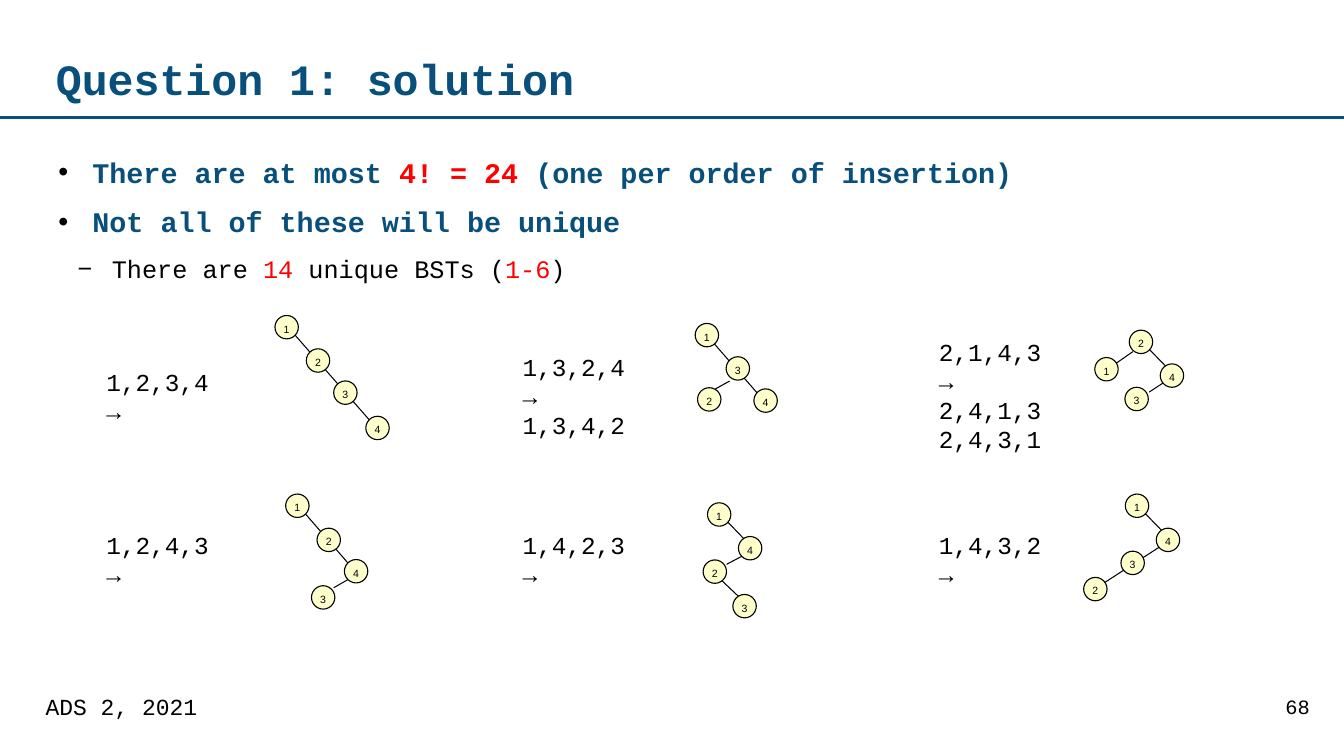
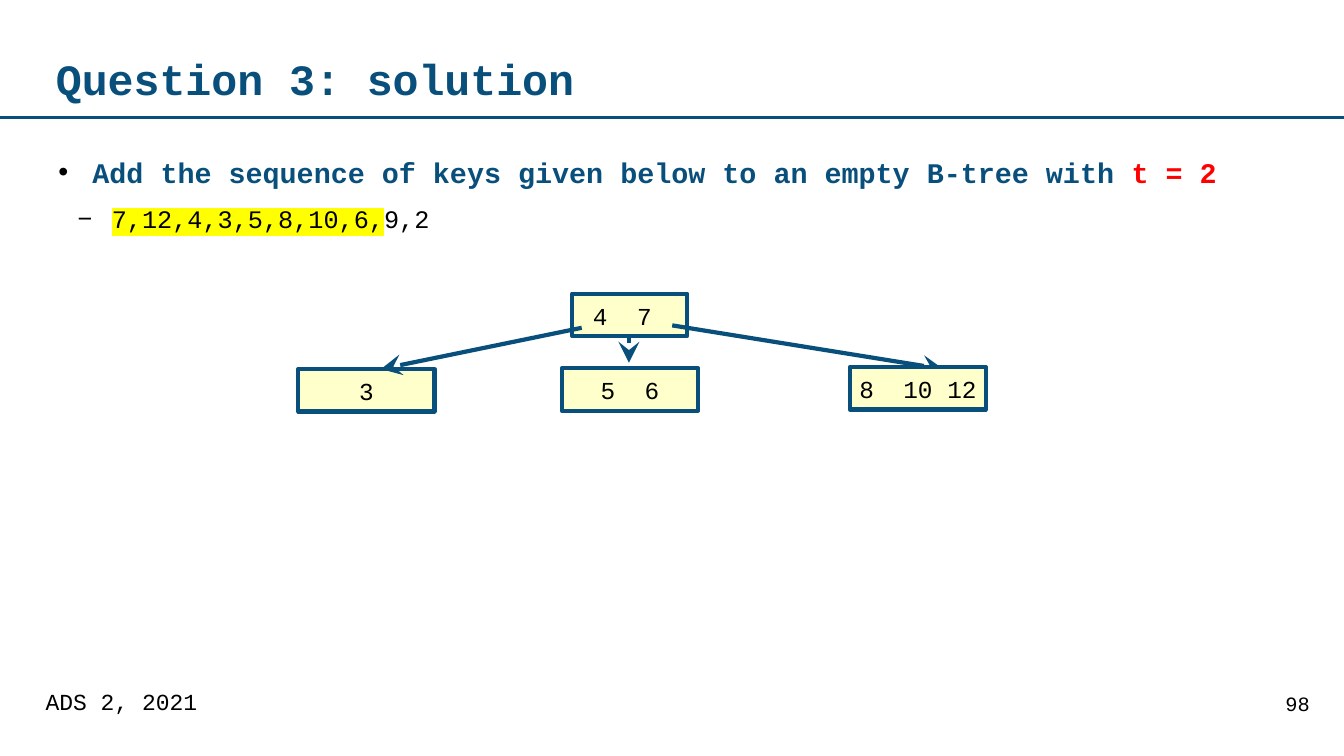
import lxml.etree
import pptx
import pptx.dml.color
import pptx.enum.shapes
import pptx.enum.text
import pptx.oxml.ns
import pptx.util

Cm = pptx.util.Cm
Pt = pptx.util.Pt
qn = pptx.oxml.ns.qn
paint = pptx.dml.color.RGBColor.from_string
align = pptx.enum.text.PP_ALIGN
anchor = pptx.enum.text.MSO_ANCHOR
preset = pptx.enum.shapes.MSO_SHAPE

BLUE, RED, BLACK = "094F7B", "FF0000", "000000"
CREAM, YELLOW = "FFFFCC", "FFFF00"
MONO = "Courier New"


def style(run, size, color, bold=False, family=MONO):
    run.font.size = Pt(size)
    run.font.name = family
    run.font.bold = bold
    run.font.color.rgb = paint(color)


def draw_line(shapes, start, end, color, width, head=None):
    straight = pptx.enum.shapes.MSO_CONNECTOR.STRAIGHT
    link = shapes.add_connector(straight, *[Cm(v) for v in (*start, *end)])
    link.line.color.rgb = paint(color)
    link.line.width = Pt(width)
    properties = link._element.spPr
    if head:
        lxml.etree.SubElement(
            properties.find(qn("a:ln")), qn("a:tailEnd"), type=head, w="lg", len="lg")
    lxml.etree.SubElement(properties, qn("a:effectLst"))


deck = pptx.Presentation()
deck.slide_width, deck.slide_height = Cm(33.87), Cm(19.05)

pages = [
    ("Question 1: solution", "68", 1, 1.05, [
        (0, [("There are at most ", BLUE), ("4! = 24 ", RED), ("(one per order of insertion)", BLUE)]),
        (0, [("Not all of these will be unique", BLUE)]),
        (1, [("There are ", BLACK), ("14", RED), (" unique BSTs (", BLACK), ("1-6", RED), (")", BLACK)]),
    ]),
    ("Question 3: solution", "98", 0.82, 0.96, [
        (0, [("Add the sequence of keys given below to an empty B-tree with ", BLUE), ("t = 2", RED)]),
        (1, [("7,12,4,3,5,8,10,6,", YELLOW), ("9,2", BLACK)]),
    ]),
]
levels = [(0.91, "•", 20.3, True), (1.4, "−", 18, False)]

for heading, number, footer_spacing, number_spacing, points in pages:
    slide = deck.slides.add_slide(deck.slide_layouts[5])
    draw_line(slide.shapes, (0, 2.96), (33.87, 2.96), BLUE, 2.75)

    title = slide.shapes.title
    title.left, title.top, title.width, title.height = Cm(1.41), Cm(0.85), Cm(28.91), Cm(2.18)
    frame = title.text_frame
    frame.text = heading
    frame.auto_size = pptx.enum.text.MSO_AUTO_SIZE.NONE
    frame.margin_left = frame.margin_right = frame.margin_top = frame.margin_bottom = 0
    frame.vertical_anchor = anchor.MIDDLE
    frame.paragraphs[0].alignment = align.LEFT
    frame.paragraphs[0].line_spacing = 1.04
    style(frame.paragraphs[0].runs[0], 30.9, BLUE, True)

    frame = slide.shapes.add_textbox(Cm(1.42), Cm(3.73), Cm(31.04), Cm(13.21)).text_frame
    frame.word_wrap = True
    frame.margin_left = frame.margin_right = frame.margin_top = frame.margin_bottom = 0
    for position, (level, phrases) in enumerate(points):
        point = frame.add_paragraph() if position else frame.paragraphs[0]
        indent, mark, size, bold = levels[level]
        point.level = level
        point.line_spacing = 1.2
        if position:
            point.space_before = Pt(6.2)
        properties = point._p.get_or_add_pPr()
        properties.set("marL", str(Cm(indent)))
        properties.set("indent", str(-Cm(0.86)))
        bullet_color = lxml.etree.SubElement(properties, qn("a:buClr"))
        lxml.etree.SubElement(bullet_color, qn("a:srgbClr"), val=BLACK)
        lxml.etree.SubElement(properties, qn("a:buFont"), typeface="Arial")
        lxml.etree.SubElement(properties, qn("a:buChar"), char=mark)
        for words, color in phrases:
            run = point.add_run()
            run.text = words
            style(run, size, BLACK if color == YELLOW else color, bold)
            if color == YELLOW:
                highlight = lxml.etree.Element(qn("a:highlight"))
                lxml.etree.SubElement(highlight, qn("a:srgbClr"), val=YELLOW)
                run._r.rPr.find(qn("a:latin")).addprevious(highlight)

    for words, left, width, size, side, spacing in [
        (number, 27.84, 5.46, 14.5, align.RIGHT, number_spacing),
        ("ADS 2, 2021", 0.86, 21.41, 16.4, align.LEFT, footer_spacing),
    ]:
        frame = slide.shapes.add_textbox(Cm(left), Cm(17.32), Cm(width), Cm(1.32)).text_frame
        frame.word_wrap = True
        frame.margin_left = frame.margin_right = Cm(0.29)
        frame.margin_top = frame.margin_bottom = Cm(0.14)
        frame.text = words
        frame.paragraphs[0].alignment = side
        frame.paragraphs[0].line_spacing = spacing
        style(frame.paragraphs[0].runs[0], size, BLACK)

search_slide, btree_slide = deck.slides

search_trees = [
    (0, 9.12, ["1,2,3,4 →"],
     [((7.09, 8.05), (9.63, 10.95))],
     {"1": (6.93, 7.95), "2": (7.72, 8.79), "3": (8.41, 9.6), "4": (9.22, 10.49)}),
    (0, 13.23, ["1,2,4,3 →"],
     [((7.37, 12.57), (9.04, 14.5)), ((8.76, 14.61), (8.41, 14.81))],
     {"1": (7.2, 12.45), "2": (7.99, 13.31), "4": (8.68, 14.1), "3": (7.85, 14.76)}),
    (1, 8.74, ["1,3,2,4 →", "1,3,4,2"],
     [((17.65, 8.26), (19.35, 10.21)), ((18.39, 9.6), (18.03, 9.8))],
     {"1": (17.52, 8.15), "3": (18.3, 8.99), "2": (17.58, 9.77), "4": (19, 9.8)}),
    (1, 13.23, ["1,4,2,3 →"],
     [((18.19, 14.63), (18.75, 15.16)), ((17.98, 12.78), (19.05, 13.89)),
      ((18.69, 14.02), (18.31, 14.22))],
     {"1": (17.83, 12.67), "4": (18.61, 13.52), "2": (17.72, 14.11), "3": (18.47, 14.98)}),
    (2, 8.36, ["2,1,4,3 →", "2,4,1,3", "2,4,3,1"],
     [((28.55, 8.86), (27.99, 9.25)), ((28.6, 8.43), (29.69, 9.55)),
      ((29.31, 9.65), (28.96, 9.88))],
     {"2": (28.46, 8.32), "1": (27.59, 9.01), "4": (29.24, 9.17), "3": (28.35, 9.76)}),
    (2, 13.23, ["1,4,3,2 →"],
     [((29.21, 13.79), (27.76, 14.73)), ((28.5, 12.57), (29.59, 13.69))],
     {"1": (28.36, 12.45), "4": (29.14, 13.31), "3": (28.25, 13.89), "2": (27.31, 14.55)}),
]
node_size = 0.59
for column, top, orders, edges, nodes in search_trees:
    frame = search_slide.shapes.add_textbox(
        Cm(2.43 + 10.49 * column), Cm(top), Cm(3.7), Cm(1 + 0.75 * len(orders))).text_frame
    frame.word_wrap = True
    frame.text = "\n".join(orders)
    for order in frame.paragraphs:
        style(order.runs[0], 17.4, BLACK)

    tree = search_slide.shapes.add_group_shape()
    for start, end in edges:
        draw_line(tree.shapes, start, end, BLACK, 0.75)
    for key, (left, top) in nodes.items():
        node = tree.shapes.add_shape(preset.OVAL, Cm(left), Cm(top), Cm(node_size), Cm(node_size))
        node.shadow.inherit = False
        node.fill.solid()
        node.fill.fore_color.rgb = paint(CREAM)
        node.line.color.rgb = paint(BLACK)
        node.line.width = Pt(0.8)
        frame = node.text_frame
        frame.word_wrap = False
        frame.margin_left = frame.margin_right = frame.margin_bottom = 0
        frame.margin_top = Cm(0.04)
        frame.vertical_anchor = anchor.MIDDLE
        frame.text = key
        frame.paragraphs[0].alignment = align.CENTER
        frame.paragraphs[0].line_spacing = 1.15
        style(frame.paragraphs[0].runs[0], 7.5, BLACK, family="Arial")

character = 0.37
btree_nodes = [
    ("4\t7", 5, 14.42, 7.4, 2.9),
    ("3", 1, 7.52, 9.3, 3.43),
    ("5\t6", 4, 14.16, 9.28, 3.43),
    ("8\t10\t12", 8, 21.42, 9.25, 3.43),
]
btree_arrows = [
    ((14.66, 8.26), (9.6, 9.3)),
    ((15.85, 8.46), (15.85, 9.14)),
    ((16.94, 8.2), (23.77, 9.3)),
]
for position, (keys, columns, left, top, width) in enumerate(btree_nodes):
    if position == 2:
        for start, end in btree_arrows:
            draw_line(btree_slide.shapes, start, end, BLUE, 3, "stealth")
    node = btree_slide.shapes.add_shape(preset.RECTANGLE, Cm(left), Cm(top), Cm(width), Cm(1.07))
    node.shadow.inherit = False
    node.fill.solid()
    node.fill.fore_color.rgb = paint(CREAM)
    node.line.color.rgb = paint(BLUE)
    node.line.width = Pt(3)
    frame = node.text_frame
    frame.word_wrap = True
    frame.margin_left = Cm((width - columns * character) / 2)
    frame.margin_right = 0
    frame.margin_top, frame.margin_bottom = Cm(0.25), Cm(0.1)
    frame.vertical_anchor = anchor.MIDDLE
    frame.text = keys
    row = frame.paragraphs[0]
    row.alignment = align.LEFT
    row.line_spacing = 0.82
    stops = lxml.etree.SubElement(row._p.get_or_add_pPr(), qn("a:tabLst"))
    for column in (3, 6):
        lxml.etree.SubElement(stops, qn("a:tab"), pos=str(Cm(column * character)), algn="l")
    for run in row.runs:
        style(run, 17.4, BLACK)

deck.save("out.pptx")
